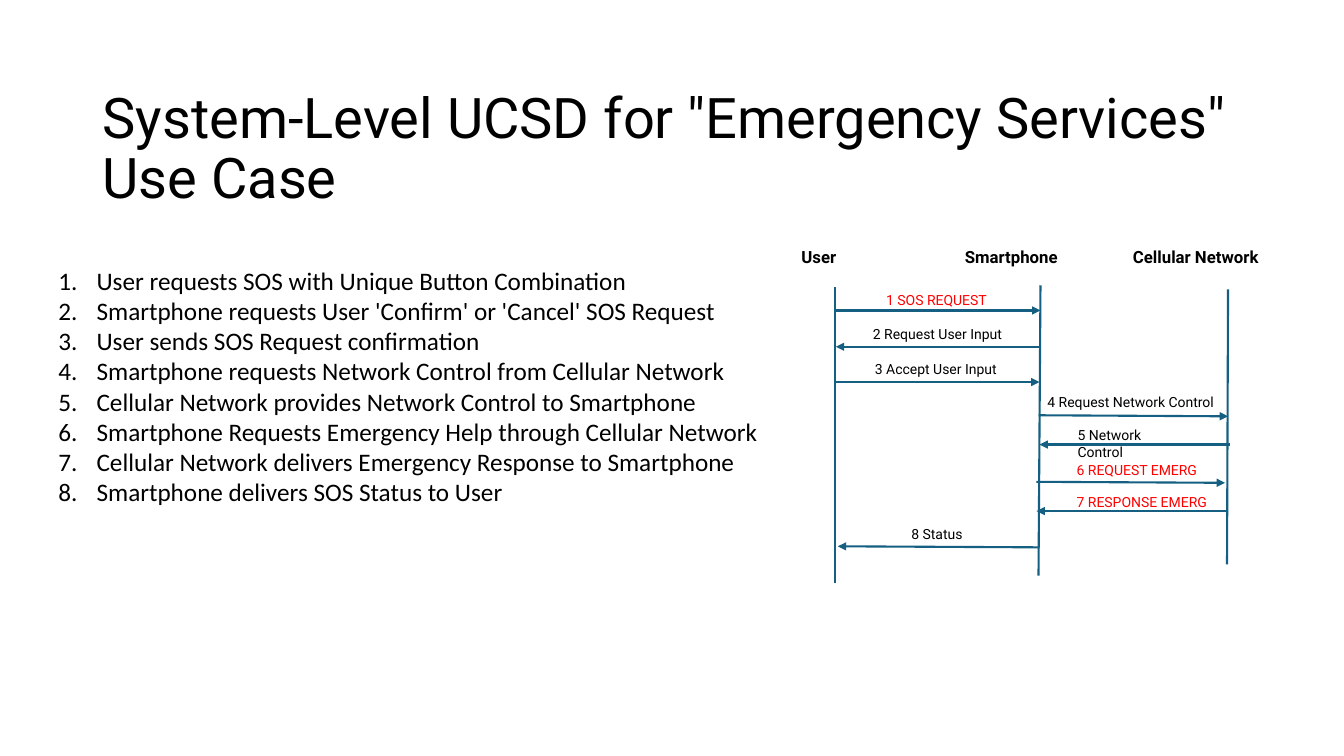
from lxml import etree
from pptx import Presentation
from pptx.dml.color import RGBColor
from pptx.enum import shapes, text
from pptx.oxml import ns
from pptx.util import Inches, Pt

BLACK, RED, TEAL = "000000", "FF0000", "156082"
LEFT, CENTER = text.PP_ALIGN.LEFT, text.PP_ALIGN.CENTER

TITLE = 'System-Level UCSD for "Emergency Services" Use Case'
STEPS = [
    "User requests SOS with Unique Button Combination",
    "Smartphone requests User 'Confirm' or 'Cancel' SOS Request",
    "User sends SOS Request confirmation",
    "Smartphone requests Network Control from Cellular Network",
    "Cellular Network provides Network Control to Smartphone",
    "Smartphone Requests Emergency Help through Cellular Network",
    "Cellular Network delivers Emergency Response to Smartphone",
    "Smartphone delivers SOS Status to User",
]
# name, label left, label width, alignment, lifeline start, lifeline end
ACTORS = [
    ("User", 7.85, 0.72, LEFT, (8.28, 2.85), (8.28, 5.78)),
    ("Smartphone", 9.04, 1.98, CENTER, (10.32, 2.83), (10.3, 5.71)),
    ("Cellular Network", 10.97, 1.78, CENTER, (12.18, 2.87), (12.17, 5.6)),
]
# label, colour, label left, top and width, sender end, receiver end
MESSAGES = [
    ("1 SOS REQUEST", RED, 8.69, 2.84, 1.22, (8.28, 3.08), (10.32, 3.08)),
    ("2 Request User Input", BLACK, 8.56, 3.18, 1.67, (10.3, 3.44), (8.29, 3.44)),
    ("3 Accept User Input", BLACK, 8.58, 3.53, 1.44, (8.29, 3.79), (10.31, 3.79)),
    ("4 Request Network Control", BLACK, 10.29, 3.85, 1.9, (10.3, 4.12), (12.18, 4.13)),
    ("5 Network Control", BLACK, 10.59, 4.18, 1.3, (12.2, 4.41), (10.31, 4.41)),
    ("6 REQUEST EMERG", RED, 10.58, 4.53, 1.57, (10.28, 4.78), (12.15, 4.79)),
    ("7 RESPONSE EMERG", RED, 10.58, 4.85, 1.54, (12.18, 5.07), (10.28, 5.07)),
    ("8 Status", BLACK, 8.94, 5.16, 1.09, (10.31, 5.43), (8.31, 5.42)),
]


def color(value):
    return RGBColor.from_string(value)


def add_text(slide, lines, place, size, font="Roboto", fill=BLACK, bold=False, align=LEFT):
    box = slide.shapes.add_textbox(*map(Inches, place))
    frame = box.text_frame
    frame.word_wrap = True
    frame.text = "\n".join(lines)
    for para in frame.paragraphs:
        para.alignment = align
        for span in para.runs:
            span.font.name = font
            span.font.size = Pt(size)
            span.font.bold = bold
            span.font.color.rgb = color(fill)
    return frame


def number_lines(frame, indent):
    for para in frame.paragraphs:
        props = para._p.get_or_add_pPr()
        props.set("marL", str(Inches(indent)))
        props.set("indent", str(-Inches(indent)))
        bullet = etree.SubElement(props, ns.qn("a:buAutoNum"))
        bullet.set("type", "arabicPeriod")


def add_line(slide, start, end, arrow=False):
    line = slide.shapes.add_connector(
        shapes.MSO_CONNECTOR.STRAIGHT, *map(Inches, start + end))
    line.line.color.rgb = color(TEAL)
    line.line.width = Pt(1.5)
    if arrow:
        head = etree.SubElement(line.line._get_or_add_ln(), ns.qn("a:tailEnd"))
        head.set("type", "triangle")
    etree.SubElement(line._element.spPr, ns.qn("a:effectLst"))


def main():
    deck = Presentation()
    deck.slide_width, deck.slide_height = Inches(13.33), Inches(7.5)
    slide = deck.slides.add_slide(deck.slide_layouts[6])

    title = add_text(slide, [TITLE], (0.92, 0.4, 12.14, 2.18), 40)
    title.vertical_anchor = text.MSO_ANCHOR.MIDDLE
    title.paragraphs[0].line_spacing = 0.9

    steps = add_text(slide, STEPS, (0.48, 2.58, 7.14, 2.83), 18, font="Calibri")
    number_lines(steps, 0.38)

    for name, left, width, align, start, end in ACTORS:
        add_text(slide, [name], (left, 2.4, width, 0.3), 12, bold=True, align=align)
        add_line(slide, start, end)

    for label, fill, left, top, width, sender, receiver in MESSAGES:
        add_line(slide, sender, receiver, arrow=True)
        add_text(slide, [label], (left, top, width, 0.27), 10, fill=fill)

    deck.save("out.pptx")


if __name__ == "__main__":
    main()
